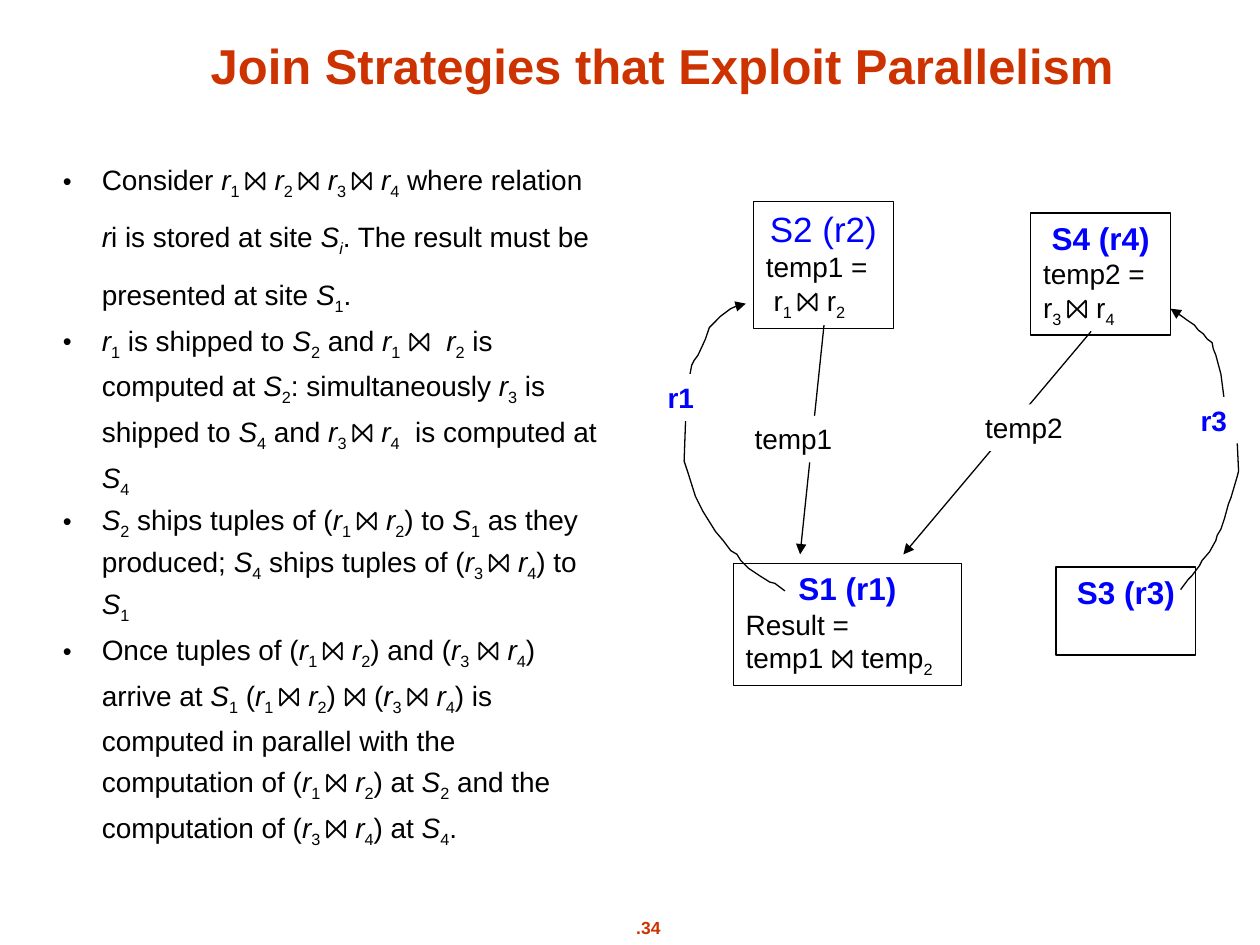
"""Build a slide on join strategies that exploit parallelism."""
from itertools import groupby

from lxml.etree import SubElement
from pptx import Presentation
from pptx.dml.color import RGBColor
from pptx.enum.shapes import MSO_CONNECTOR, MSO_SHAPE
from pptx.enum.text import MSO_ANCHOR, PP_ALIGN
from pptx.oxml.ns import qn
from pptx.util import Pt

PX = 9144
BLACK, WHITE, BLUE, RUST = "000000", "FFFFFF", "0000FF", "CC3300"


def write(para, text, size=16, color=BLACK, bold=False, align=PP_ALIGN.LEFT):
    """Write text in which ~ makes the next character italic and _ a subscript."""
    para.alignment = align
    styled, italic, low = [], False, False
    for char in text:
        if char == "~":
            italic = True
        elif char == "_":
            low = True
        else:
            styled.append((char, italic, low))
            italic = low = False
    for (italic, low), group in groupby(styled, key=lambda item: item[1:]):
        span = para.add_run()
        span.text = "".join(item[0] for item in group)
        span.font.name = "Arial"
        span.font.size = Pt(size)
        span.font.bold = bold
        span.font.italic = italic
        span.font.color.rgb = RGBColor.from_string(color)
        if low:
            span.font._element.set("baseline", "-25000")


def draw_arrow(shape):
    """Give an open line a thin black stroke, an arrowhead and no shadow."""
    shape.line.color.rgb = RGBColor.from_string(BLACK)
    shape.line.width = Pt(0.75)
    properties = shape._element.spPr
    SubElement(properties.find(qn("a:ln")), qn("a:tailEnd"), type="triangle")
    if properties.find(qn("a:effectLst")) is None:
        SubElement(properties, qn("a:effectLst"))


deck = Presentation()
deck.slide_width, deck.slide_height = 1000 * PX, 750 * PX
page = deck.slides.add_slide(deck.slide_layouts[6])

number = page.shapes.add_textbox(469 * PX, 723 * PX, 91 * PX, 27 * PX)
number.text_frame.word_wrap = False
write(number.text_frame.paragraphs[0], ".34", size=10, color=RUST, bold=True,
      align=PP_ALIGN.CENTER)

title = page.shapes.add_textbox(84 * PX, 13 * PX, 883 * PX, 67 * PX)
title.text_frame.word_wrap = True
title.text_frame.vertical_anchor = MSO_ANCHOR.BOTTOM
write(title.text_frame.paragraphs[0], "Join Strategies that Exploit Parallelism",
      size=28, color=RUST, bold=True, align=PP_ALIGN.CENTER)

sites = [
    (598, 160, 111, 101, "S2 (r2)", 20, False, ["temp1 =", " r_1_ ⨝ r_2"]),
    (818, 169, 111, 97, "S4 (r4)", 18, True, ["temp2 = r_3_ ⨝ r_4"]),
    (582, 447, 181, 97, "S1 (r1)", 18, True, ["Result =", "temp1 ⨝ temp_2"]),
    (838, 450, 111, 70, "S3 (r3)", 18, True, []),
]
for left, top, width, height, name, size, bold, lines in sites:
    box = page.shapes.add_shape(MSO_SHAPE.RECTANGLE, left * PX, top * PX,
                                width * PX, height * PX)
    box.shadow.inherit = False
    box.fill.background()
    box.line.color.rgb = RGBColor.from_string(BLACK)
    box.line.width = Pt(0.75)
    frame = box.text_frame
    frame.word_wrap = True
    frame.vertical_anchor = MSO_ANCHOR.TOP
    write(frame.paragraphs[0], name, size=size, color=BLUE, bold=bold,
          align=PP_ALIGN.CENTER)
    for line in lines:
        write(frame.add_paragraph(), line)

for start_x, start_y, end_x, end_y in [(654, 258, 635, 440), (866, 263, 717, 440)]:
    draw_arrow(page.shapes.add_connector(MSO_CONNECTOR.STRAIGHT, start_x * PX,
                                         start_y * PX, end_x * PX, end_y * PX))

r1_route = [
    (623, 469), (615, 463), (611, 462), (603, 457), (594, 451), (588, 445),
    (585, 440), (580, 437), (574, 429), (568, 422), (563, 414), (558, 406),
    (552, 394), (546, 375), (543, 366), (545, 311), (546, 306), (549, 290),
    (551, 286), (554, 282), (560, 269), (563, 260), (572, 251), (580, 245),
    (589, 241), (592, 241),
]
r3_route = [
    (937, 468), (943, 460), (946, 457), (952, 449), (954, 445), (960, 438),
    (965, 429), (966, 425), (969, 420), (972, 411), (975, 400), (977, 395),
    (982, 378), (983, 374), (982, 352), (980, 346), (975, 332), (974, 328),
    (972, 320), (969, 297), (965, 282), (963, 277), (962, 272), (958, 269),
    (955, 265), (951, 262), (948, 258), (942, 254), (938, 251), (929, 245),
]
for route in (r1_route, r3_route):
    builder = page.shapes.build_freeform(*route[0], scale=PX)
    builder.add_line_segments(route[1:], close=False)
    curve = builder.convert_to_shape()
    curve.shadow.inherit = False
    curve.fill.background()
    draw_arrow(curve)

labels = [
    (589, 330, 111, "temp1", BLACK, False),
    (772, 321, 94, "temp2", BLACK, False),
    (520, 297, 75, "r1", BLUE, True),
    (943, 315, 49, "r3", BLUE, True),
]
for left, top, width, text, color, bold in labels:
    label = page.shapes.add_shape(MSO_SHAPE.RECTANGLE, left * PX, top * PX,
                                  width * PX, 37 * PX)
    label.shadow.inherit = False
    label.fill.solid()
    label.fill.fore_color.rgb = RGBColor.from_string(WHITE)
    label.line.fill.background()
    label.text_frame.word_wrap = True
    label.text_frame.vertical_anchor = MSO_ANCHOR.TOP
    write(label.text_frame.paragraphs[0], text, color=color, bold=bold)

points = [
    (1.5, "Consider ~r_1_ ⨝ ~r_2_ ⨝ ~r_3_ ⨝ ~r_4 where relation ~ri is stored at "
          "site ~S_~i. The result must be presented at site ~S_1."),
    (1.2, "~r_1 is shipped to ~S_2 and ~r_1 ⨝  ~r_2 is computed at ~S_2: "
          "simultaneously ~r_3 is shipped to ~S_4 and ~r_3_ ⨝ ~r_4  is computed "
          "at ~S_4"),
    (1.1, "~S_2 ships tuples of (~r_1_ ⨝ ~r_2) to ~S_1 as they produced; ~S_4 "
          "ships tuples of (~r_3_ ⨝ ~r_4) to ~S_1"),
    (1.2, "Once tuples of (~r_1_ ⨝ ~r_2) and (~r_3 ⨝ ~r_4) arrive at ~S_1 "
          "(~r_1_ ⨝ ~r_2) ⨝ (~r_3_ ⨝ ~r_4) is computed in parallel with the "
          "computation of (~r_1_ ⨝ ~r_2) at ~S_2 and the computation of "
          "(~r_3_ ⨝ ~r_4) at ~S_4."),
]
body = page.shapes.add_textbox(40 * PX, 109 * PX, 449 * PX, 570 * PX)
body.text_frame.word_wrap = True
for index, (spacing, text) in enumerate(points):
    para = body.text_frame.add_paragraph() if index else body.text_frame.paragraphs[0]
    para.line_spacing = spacing
    properties = para._p.get_or_add_pPr()
    properties.set("marL", str(31 * PX))
    properties.set("indent", str(-31 * PX))
    bullet_color = SubElement(properties, qn("a:buClr"))
    SubElement(bullet_color, qn("a:srgbClr"), val=BLACK)
    SubElement(properties, qn("a:buSzPct"), val="90000")
    SubElement(properties, qn("a:buFont"), typeface="Arial")
    SubElement(properties, qn("a:buChar"), char="•")
    write(para, text)

deck.save("out.pptx")
